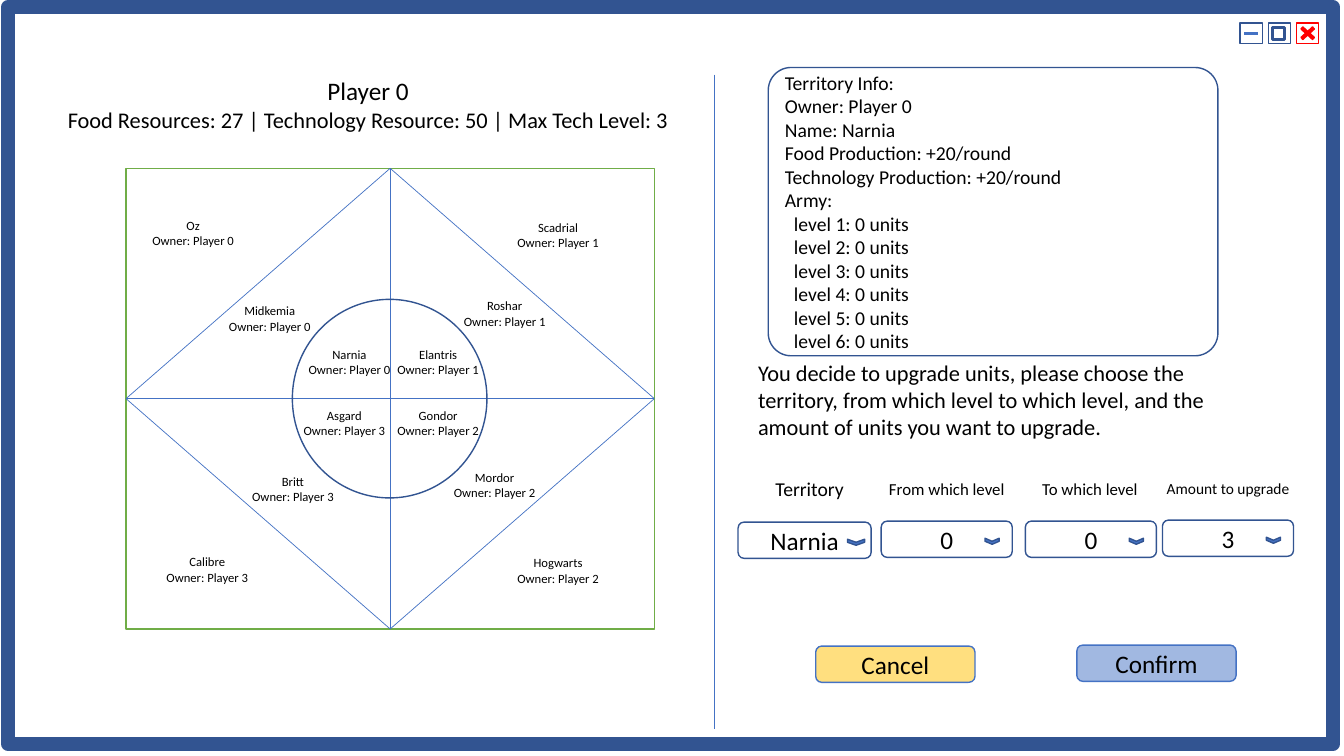
from dataclasses import dataclass

from lxml import etree
from pptx import Presentation
from pptx import util as u
from pptx.dml.color import RGBColor
from pptx.enum import shapes, text
from pptx.oxml.ns import qn

KIND = shapes.MSO_SHAPE
LEFT, CENTER = text.PP_ALIGN.LEFT, text.PP_ALIGN.CENTER
TOP, MIDDLE = text.MSO_ANCHOR.TOP, text.MSO_ANCHOR.MIDDLE


@dataclass(frozen=True)
class Theme:
    font: str = "Calibri"
    ink: str = "000000"
    white: str = "FFFFFF"
    navy: str = "325491"
    blue: str = "4472C4"
    green: str = "70AD47"
    gold: str = "FFC000"
    red: str = "FF0000"
    large: int = 18
    medium: int = 16
    body: int = 14
    label: int = 12
    small: int = 11
    tiny: int = 9


THEME = Theme()


def write(frame, lines, size=THEME.body, align=LEFT, anchor=TOP, sizes=None, indents=None):
    """Fill a text frame, one paragraph a line; sizes and indents go by line index."""
    frame.word_wrap = True
    frame.vertical_anchor = anchor
    for i, line in enumerate(lines):
        paragraph = frame.add_paragraph() if i else frame.paragraphs[0]
        paragraph.alignment = align
        run = paragraph.add_run()
        run.text = line
        run.font.name = THEME.font
        run.font.size = u.Pt((sizes or {}).get(i, size))
        run.font.color.rgb = RGBColor.from_string(THEME.ink)
        if indents and i in indents:
            paragraph._p.get_or_add_pPr().set("marL", str(u.Inches(indents[i])))


class Screen:
    def __init__(self, slide, theme):
        self.slide, self.theme = slide, theme
        self.layer = slide.shapes

    def group(self):
        """Place what follows in a new group."""
        self.layer = self.slide.shapes.add_group_shape().shapes

    def ungroup(self):
        self.layer = self.slide.shapes

    def shape(self, kind, box, line, weight=1, fill=None, alpha=None, adj=None, rotation=0):
        shape = self.layer.add_shape(kind, *map(u.Inches, box))
        shape.shadow.inherit = False
        shape.rotation = rotation
        shape.line.color.rgb = RGBColor.from_string(line)
        shape.line.width = u.Pt(weight)
        if adj is not None:
            shape.adjustments[0] = adj
        if fill:
            shape.fill.solid()
            shape.fill.fore_color.rgb = RGBColor.from_string(fill)
        else:
            shape.fill.background()
        if alpha:
            color = shape._element.spPr.find(qn("a:solidFill"))[0]
            etree.SubElement(color, qn("a:alpha")).set("val", str(alpha * 1000))
        return shape

    def line(self, start, end, weight=0.5):
        line = self.layer.add_connector(
            shapes.MSO_CONNECTOR.STRAIGHT, *map(u.Inches, (*start, *end)))
        line.line.color.rgb = RGBColor.from_string(self.theme.blue)
        line.line.width = u.Pt(weight)
        etree.SubElement(line._element.spPr, qn("a:effectLst"))

    def label(self, box, lines, **style):
        write(self.layer.add_textbox(*map(u.Inches, box)).text_frame, lines, **style)

    def button(self, box, caption, line, **look):
        button = self.shape(KIND.ROUNDED_RECTANGLE, box, line, **look)
        write(button.text_frame, [caption], size=self.theme.large, align=CENTER, anchor=MIDDLE)

    def dropdown(self, left, top, width, choice, arrow_left, arrow_size):
        self.group()
        self.button((left, top, width, 0.36), choice, self.theme.navy)
        arrow = (left + arrow_left, top + 0.2 - arrow_size / 2, 0.06, arrow_size)
        self.shape(KIND.CHEVRON, arrow, self.theme.navy, fill=self.theme.blue, rotation=90)
        self.ungroup()


def draw_map(screen):
    screen.group()
    left, top, width, height = 1.25, 1.67, 5.24, 4.57
    mid_x, mid_y = left + width / 2, top + height / 2
    screen.shape(KIND.RECTANGLE, (left, top, width, height), THEME.green, fill=THEME.white)

    # Diamond sides, and spokes from the centre to its corners
    corners = [(mid_x, top), (left + width, mid_y), (mid_x, top + height), (left, mid_y)]
    for i, corner in enumerate(corners):
        screen.line(corner, corners[(i + 1) % 4])
        screen.line((mid_x, mid_y), corner)
    screen.shape(KIND.OVAL, (2.9, 2.97, 1.93, 1.97), THEME.navy)

    # Territories: name, owner, left, top
    territories = [
        ("Narnia", 0, 2.94, 3.39), ("Midkemia", 0, 2.15, 2.96), ("Oz", 0, 1.39, 2.11),
        ("Elantris", 1, 3.82, 3.39), ("Roshar", 1, 4.48, 2.91), ("Scadrial", 1, 5.01, 2.13),
        ("Gondor", 2, 3.82, 4), ("Mordor", 2, 4.38, 4.61), ("Hogwarts", 2, 5.01, 5.46),
        ("Asgard", 3, 2.89, 4), ("Britt", 3, 2.38, 4.65), ("Calibre", 3, 1.53, 5.45),
    ]
    for name, owner, x, y in territories:
        screen.label((x, y, 1.05, 0.4), [name, f"Owner: Player {owner}"],
                     size=THEME.tiny, align=CENTER)
    screen.ungroup()


def draw_window_controls(screen):
    screen.group()
    minimize, maximize, close = [(12.3 + 0.28 * i, 0.23, 0.22, 0.2) for i in range(3)]
    for box, color in ((minimize, THEME.navy), (maximize, THEME.navy), (close, THEME.red)):
        screen.shape(KIND.RECTANGLE, box, color)
    screen.line((12.34, 0.33), (12.48, 0.33), weight=2)
    screen.shape(KIND.RECTANGLE, (12.62, 0.27, 0.12, 0.12), THEME.navy, weight=2)
    screen.shape(KIND.MATH_MULTIPLY, close, THEME.red, fill=THEME.red, adj=0.134)
    screen.ungroup()


def draw_territory_info(screen):
    facts = ["Territory Info:", "Owner: Player 0", "Name: Narnia", "Food Production: +20/round",
             "Technology Production: +20/round", "Army:"]
    army = [f"level {level}: 0 units" for level in range(1, 7)]
    panel = screen.shape(KIND.ROUNDED_RECTANGLE, (7.62, 0.67, 4.46, 2.86), THEME.navy, adj=0.079)
    indents = {len(facts) + i: 0.09 for i in range(len(army))}
    write(panel.text_frame, facts + army, anchor=MIDDLE, indents=indents)


def draw_upgrade_form(screen):
    screen.label((7.42, 3.67, 5.09, 0.59),
                 ["You decide to upgrade units, please choose the territory, from which level "
                  "to which level, and the amount of units you want to upgrade."],
                 size=THEME.medium, anchor=MIDDLE)

    # Field captions
    captions = [("Territory", 7.32, 4.68, THEME.body), ("From which level", 8.68, 4.7, THEME.label),
                ("To which level", 10.1, 4.7, THEME.label),
                ("Amount to upgrade", 11.47, 4.7, THEME.small)]
    for caption, x, y, size in captions:
        screen.label((x, y, 1.42, 0.3), [caption], size=size, align=CENTER)

    # Drop-down fields
    screen.dropdown(7.32, 5.18, 1.32, "Narnia", 1.14, 0.17)
    for x, y, choice in ((8.74, 5.17, "0"), (10.17, 5.17, "0"), (11.53, 5.16, "3")):
        screen.dropdown(x, y, 1.3, choice, 1.07, 0.14)

    # Actions
    for caption, x, y, color in (("Cancel", 8.09, 6.41, THEME.gold),
                                 ("Confirm", 10.68, 6.4, THEME.blue)):
        screen.button((x, y, 1.58, 0.36), caption, THEME.blue, fill=color, alpha=50)


def main():
    deck = Presentation()
    deck.slide_width, deck.slide_height = u.Inches(13.33), u.Inches(7.5)
    screen = Screen(deck.slides.add_slide(deck.slide_layouts[6]), THEME)

    # Window frame and divider
    screen.shape(KIND.RECTANGLE, (0.08, 0.07, 13.14, 7.31), THEME.navy, weight=10)
    screen.line((7.09, 0.74), (7.09, 7.23))
    draw_window_controls(screen)

    # Player status and map
    screen.label((0.53, 0.7, 6.24, 0.67),
                 ["Player 0", "Food Resources: 27 | Technology Resource: 50 | Max Tech Level: 3"],
                 size=THEME.medium, align=CENTER, sizes={0: THEME.large})
    draw_map(screen)

    # Right-hand side
    draw_territory_info(screen)
    draw_upgrade_form(screen)
    deck.save("out.pptx")


if __name__ == "__main__":
    main()
